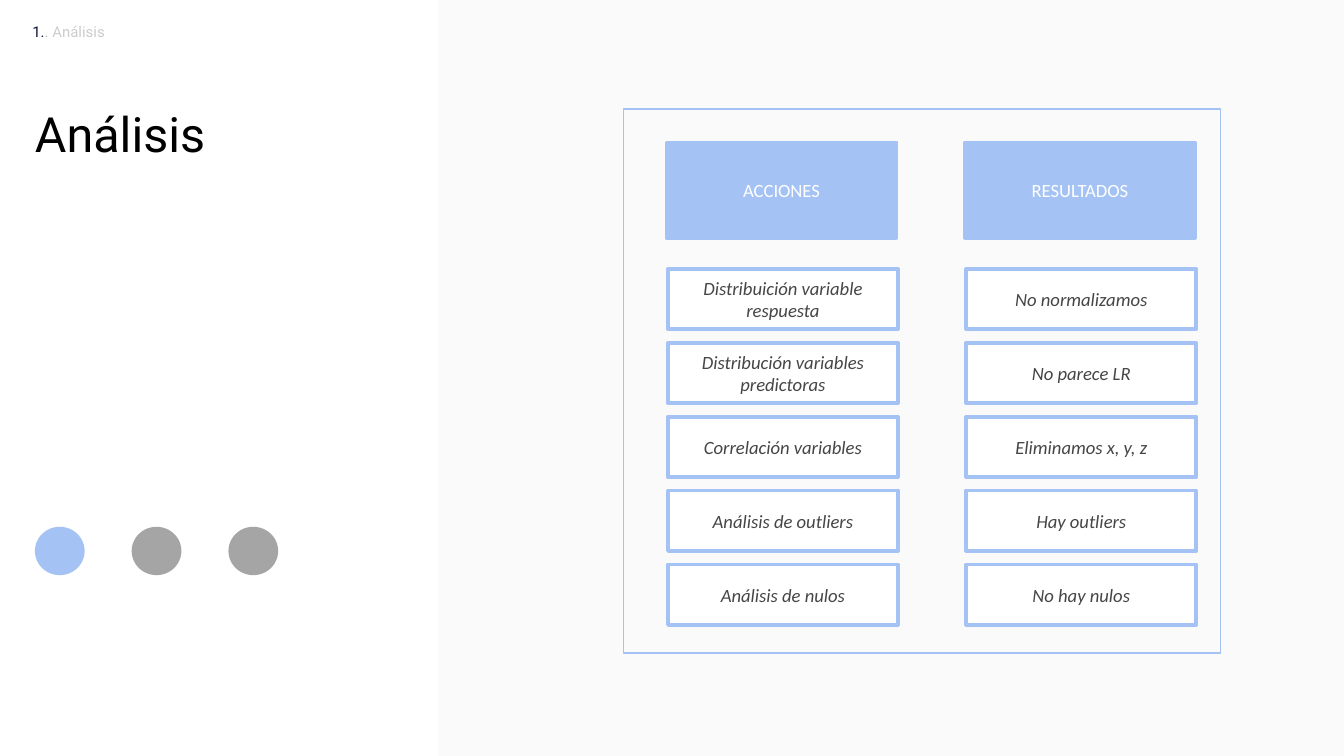
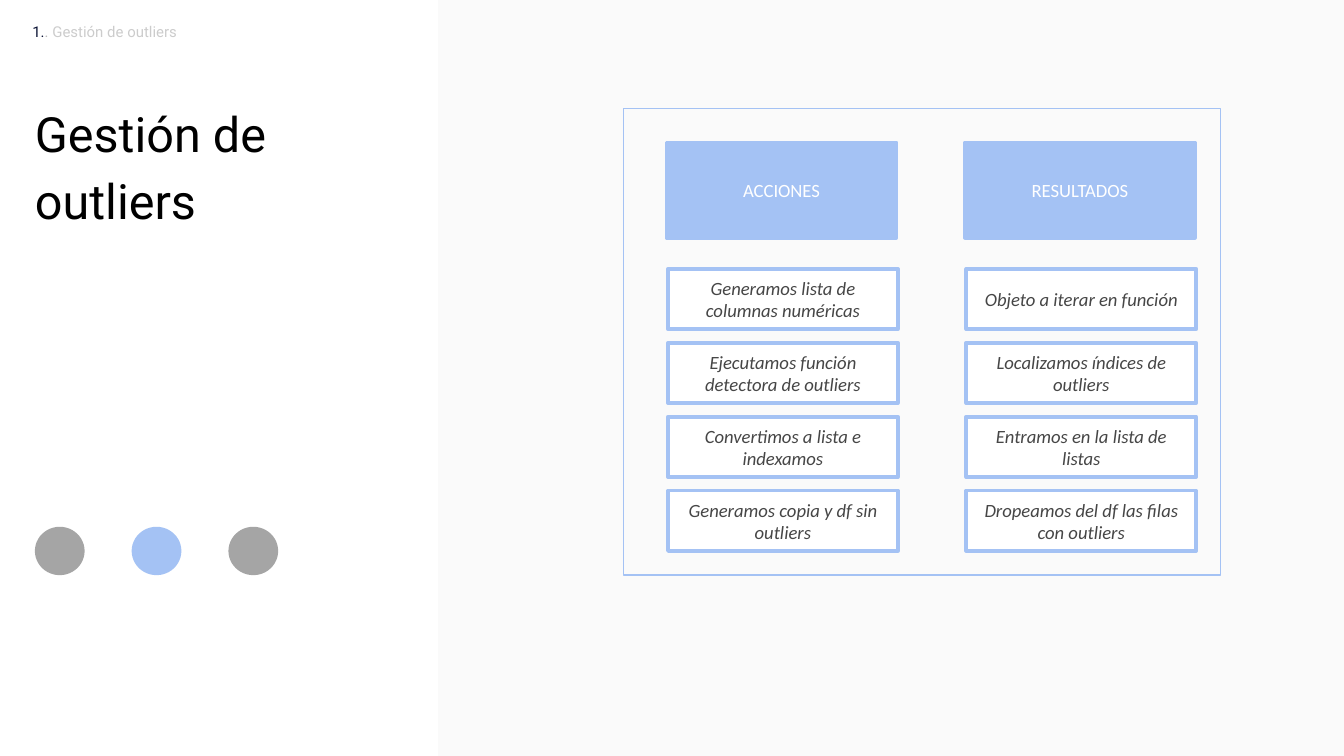
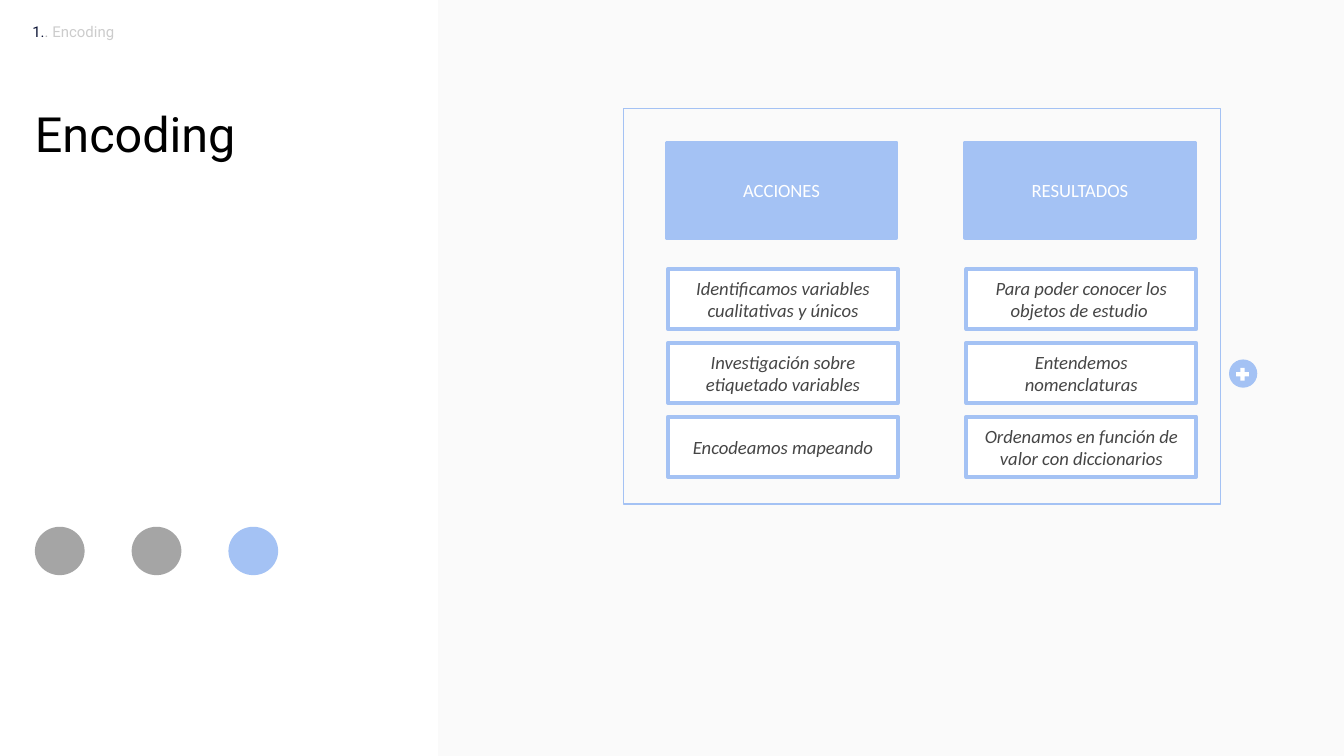
from pptx import Presentation
from pptx.dml.color import RGBColor
from pptx.enum.shapes import MSO_SHAPE
from pptx.enum.text import MSO_ANCHOR, MSO_AUTO_SIZE, PP_ALIGN
from pptx.util import Inches, Pt

BLUE, GREY, WHITE, PANEL = "A4C2F4", "A5A5A5", "FFFFFF", "FAFAFA"
BLACK, NAVY, INK = "000000", "0A1234", "464646"
SILVER, PALE = "B7B7B7", "CCCCCC"
HEADING_FONT, BOX_FONT = "Roboto", "Calibri"

BOX_WIDTH, BOX_HEIGHT, ROW_STEP = 1.71, 0.45, 0.55
FIRST_ROW, COLUMN_STEP = 2, 2.22
HEADERS = ["ACCIONES", "RESULTADOS"]

SECTIONS = [
    ("Análisis", 4.05, [
        ("Distribuición variable respuesta", "No normalizamos"),
        ("Distribución variables predictoras", "No parece LR"),
        ("Correlación variables", "Eliminamos x, y, z"),
        ("Análisis de outliers", "Hay outliers"),
        ("Análisis de nulos", "No hay nulos"),
    ]),
    ("Gestión de outliers", 3.47, [
        ("Generamos lista de columnas numéricas", "Objeto a iterar en función"),
        ("Ejecutamos función detectora de outliers", "Localizamos índices de outliers"),
        ("Convertimos a lista e indexamos", "Entramos en la lista de listas"),
        ("Generamos copia y df sin outliers", "Dropeamos del df las filas con outliers"),
    ]),
    ("Encoding", 2.94, [
        ("Identificamos variables cualitativas y únicos", "Para poder conocer los objetos de estudio "),
        ("Investigación sobre etiquetado variables", "Entendemos nomenclaturas"),
        ("Encodeamos mapeando", "Ordenamos en función de valor con diccionarios"),
    ]),
]


def rgb(value):
    """Turn a hex string into a colour."""
    return RGBColor.from_string(value)


def write(paragraph, text, *, size, font, color, italic=None):
    """Append a formatted run to a paragraph."""
    run = paragraph.add_run()
    run.text = text
    run.font.size = Pt(size)
    run.font.name = font
    run.font.italic = italic
    run.font.color.rgb = rgb(color)


def add_figure(slide, preset, left, top, width, height, fill=None, line=None, weight=0.75):
    """Add a preset shape with an optional fill and outline."""
    figure = slide.shapes.add_shape(
        preset, Inches(left), Inches(top), Inches(width), Inches(height))
    figure.shadow.inherit = False
    if fill:
        figure.fill.solid()
        figure.fill.fore_color.rgb = rgb(fill)
    else:
        figure.fill.background()
    if line:
        figure.line.color.rgb = rgb(line)
        figure.line.width = Pt(weight)
    else:
        figure.line.fill.background()
    return figure


def add_box(slide, text, left, top, height, fill, color, italic=None):
    """Add a blue-edged box with centred text."""
    box = add_figure(slide, MSO_SHAPE.RECTANGLE, left, top, BOX_WIDTH, height, fill, BLUE, 2)
    box.text_frame.word_wrap = True
    box.text_frame.vertical_anchor = MSO_ANCHOR.MIDDLE
    paragraph = box.text_frame.paragraphs[0]
    paragraph.alignment = PP_ALIGN.CENTER
    write(paragraph, text, size=10, font=BOX_FONT, color=color, italic=italic)


def prepare_heading(frame):
    """Remove the margins of a heading and return its paragraph."""
    frame.margin_left = frame.margin_top = frame.margin_right = frame.margin_bottom = 0
    frame.word_wrap = True
    frame.auto_size = MSO_AUTO_SIZE.NONE
    frame.vertical_anchor = MSO_ANCHOR.TOP
    paragraph = frame.paragraphs[0]
    paragraph.alignment = PP_ALIGN.LEFT
    paragraph.line_spacing = 1.15
    return paragraph


def add_title(slide, text):
    """Place the section title in the left column."""
    title = slide.shapes.title
    title.left, title.top = Inches(0.26), Inches(0.71)
    title.width, title.height = Inches(2.44), Inches(4.05)
    write(prepare_heading(title.text_frame), text, size=26, font=HEADING_FONT, color=BLACK)


def add_breadcrumb(slide, section):
    """Add the numbered section label at the top."""
    label = slide.shapes.add_textbox(Inches(0.24), Inches(0.15), Inches(4.82), Inches(0.11))
    paragraph = prepare_heading(label.text_frame)
    for text, color in [("1.", NAVY), (". ", SILVER), (section, PALE)]:
        write(paragraph, text, size=8, font=HEADING_FONT, color=color)


def add_progress(slide, current):
    """Add one dot per section, the current one in blue."""
    for step in range(len(SECTIONS)):
        add_figure(slide, MSO_SHAPE.OVAL, 0.26 + 0.72 * step, 3.92, 0.37, 0.36,
                   BLUE if step == current else GREY)


def add_comparison(slide, rows, frame_height):
    """Add the framed columns of actions and results."""
    add_figure(slide, MSO_SHAPE.RECTANGLE, 4.64, 0.81, 4.44, frame_height, line=BLUE)
    for column, header in enumerate(HEADERS):
        add_box(slide, header, 4.96 + COLUMN_STEP * column, 1.06, 0.71, BLUE, WHITE)
    for row, entries in enumerate(rows):
        for column, entry in enumerate(entries):
            add_box(slide, entry, 4.97 + COLUMN_STEP * column, FIRST_ROW + ROW_STEP * row,
                    BOX_HEIGHT, WHITE, INK, italic=True)


def add_plus_badge(slide):
    """Add the round plus sign beside the frame."""
    add_figure(slide, MSO_SHAPE.OVAL, 9.15, 2.68, 0.2, 0.2, BLUE, BLUE)
    plus = add_figure(slide, MSO_SHAPE.MATH_PLUS, 9.18, 2.72, 0.13, 0.13, WHITE)
    plus.adjustments[0] = 0.24


def main():
    """Build one slide per section and save the deck."""
    deck = Presentation()
    deck.slide_width = Inches(10)
    deck.slide_height = deck.slide_width * 9 // 16
    title_only = deck.slide_layouts[5]
    for number, (section, frame_height, rows) in enumerate(SECTIONS):
        slide = deck.slides.add_slide(title_only)
        add_figure(slide, MSO_SHAPE.RECTANGLE, 3.26, 0, 6.74, deck.slide_height.inches
                   if hasattr(deck.slide_height, "inches") else 5.62, PANEL)
        add_title(slide, section)
        add_progress(slide, number)
        add_breadcrumb(slide, section)
        add_comparison(slide, rows, frame_height)
    add_plus_badge(slide)
    deck.save("out.pptx")


if __name__ == "__main__":
    main()
